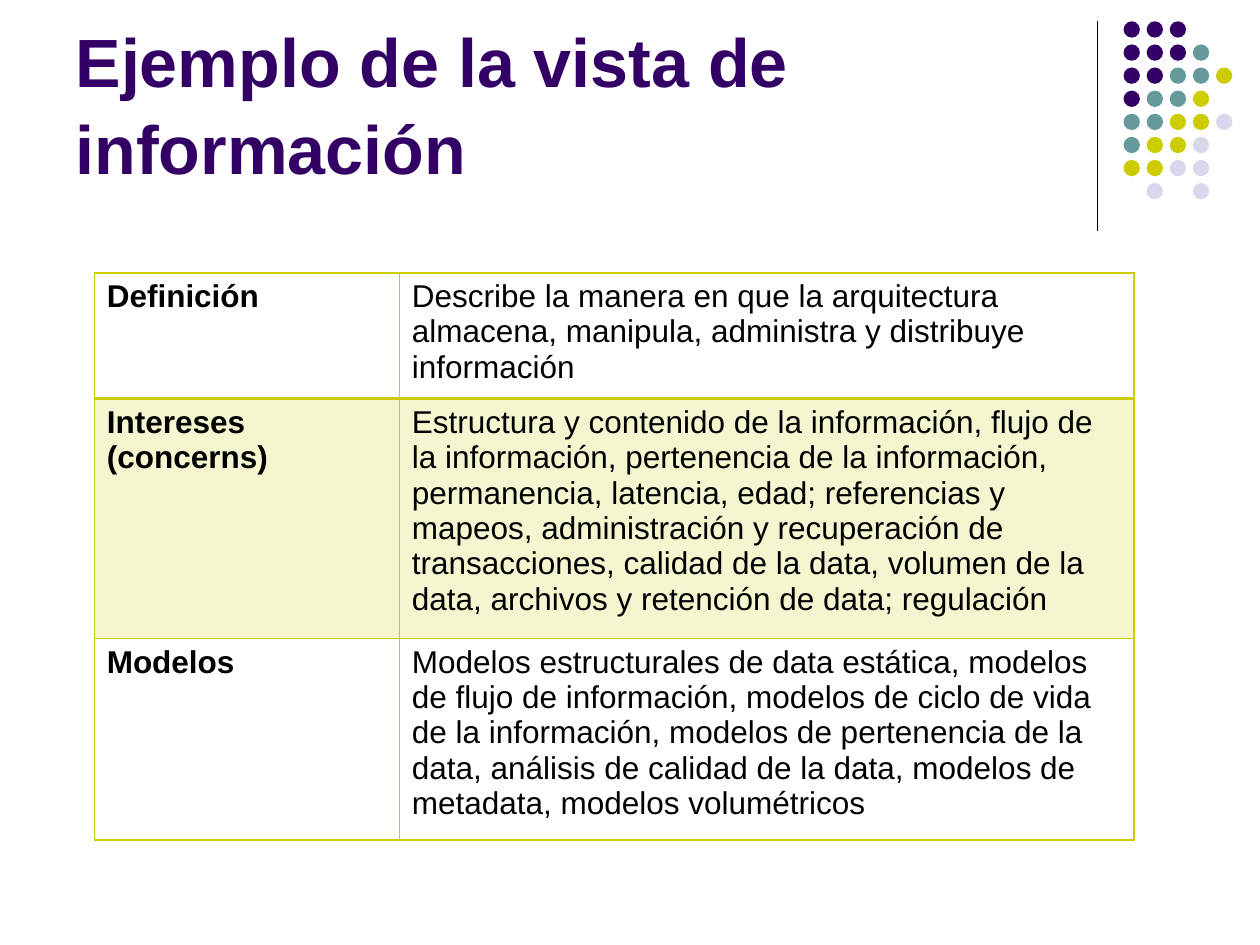
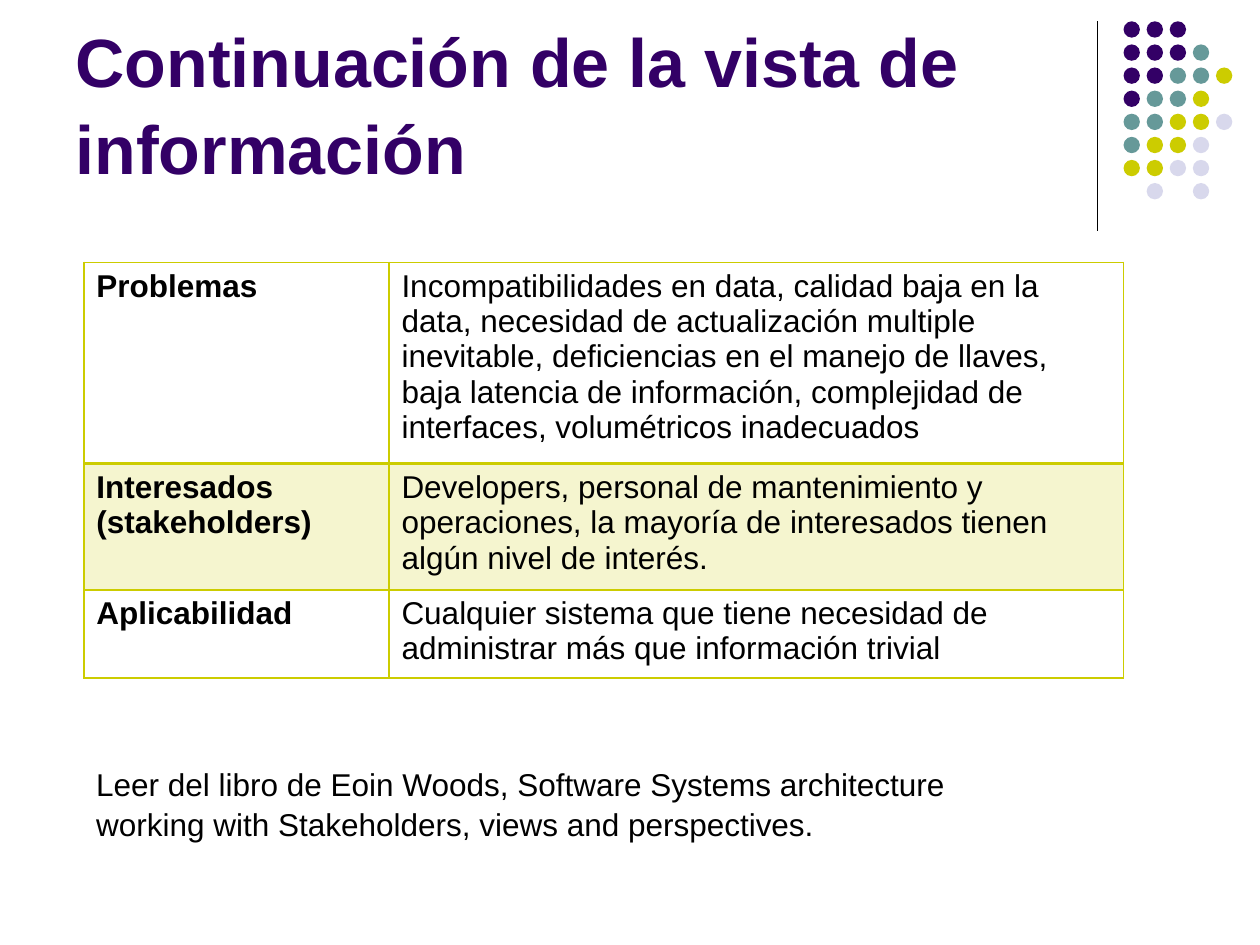
import pptx
import pptx.dml.color
import pptx.enum.shapes
import pptx.enum.text
import pptx.oxml
import pptx.oxml.ns
import pptx.util
from lxml import etree
from pptx.util import Cm

COLOURS = {
    "purple": "330066",
    "teal": "669999",
    "olive": "CCCC00",
    "lilac": "D8D8EC",
    "black": "000000",
}

# Shared formats
FONT = "Arial"
TITLE_FONT = {"name": FONT, "size": pptx.util.Pt(39), "bold": True}
TEXT_FONT = {"name": FONT, "size": pptx.util.Pt(18), "bold": False}
LABEL_FONT = {**TEXT_FONT, "bold": True}
TITLE_PLACE = {"left": Cm(1.27), "top": Cm(0.33), "width": Cm(20.96), "height": Cm(3.6)}
TITLE_FRAME = {
    "word_wrap": True,
    "auto_size": pptx.enum.text.MSO_AUTO_SIZE.NONE,
    "vertical_anchor": pptx.enum.text.MSO_ANCHOR.BOTTOM,
}
NOTE_FRAME = {"word_wrap": True, "auto_size": pptx.enum.text.MSO_AUTO_SIZE.SHAPE_TO_FIT_TEXT}
TEXT_SPACING = 1.07
COLUMN_WIDTHS = (6.15, 14.81)
TINT_PERCENT = 19

# Dot motif: one letter per dot, a point for a gap
DOT_ROWS = ("PPP..", "PPPT.", "PPTTO", "PTTO.", "TTOOL", "TOOL.", "OOLL.", ".L.L.")
DOT_COLOURS = {"P": "purple", "T": "teal", "O": "olive", "L": "lilac"}
DOT_LEFT, DOT_TOP, DOT_SIZE = 22.65, 0.43, 0.33
DOT_PITCH = 3.26 / 7

INFORMATION_VIEW = (
    ("Definición", "Describe la manera en que la arquitectura almacena, manipula, "
     "administra y distribuye información", 2.54),
    ("Intereses (concerns)", "Estructura y contenido de la información, flujo de la "
     "información, pertenencia de la información, permanencia, latencia, edad; "
     "referencias y mapeos, administración y recuperación de transacciones, calidad de "
     "la data, volumen de la data, archivos y retención de data; regulación", 4.83),
    ("Modelos", "Modelos estructurales de data estática, modelos de flujo de información, "
     "modelos de ciclo de vida de la información, modelos de pertenencia de la data, "
     "análisis de calidad de la data, modelos de metadata, modelos volumétricos", 4.06),
)
INFORMATION_VIEW_CONTINUED = (
    ("Problemas", "Incompatibilidades en data, calidad baja en la data, necesidad de "
     "actualización multiple inevitable, deficiencias en el manejo de llaves, baja "
     "latencia de información, complejidad de interfaces, volumétricos inadecuados", 4.06),
    ("Interesados (stakeholders)", "Developers, personal de mantenimiento y operaciones, "
     "la mayoría de interesados tienen algún nivel de interés.", 2.54),
    ("Aplicabilidad", "Cualquier sistema que tiene necesidad de administrar más que "
     "información trivial", 1.78),
)
READING_NOTE = (
    "Leer del libro de Eoin Woods, Software Systems architecture",
    "working with Stakeholders, views and perspectives.",
)


def rgb(name):
    return pptx.dml.color.RGBColor.from_string(COLOURS[name])


def set_values(target, values):
    for name, value in values.items():
        setattr(target, name, value)


def write_paragraph(paragraph, text, font_values, colour="black"):
    run = paragraph.add_run()
    run.text = text
    set_values(run.font, font_values)
    run.font.color.rgb = rgb(colour)


def add_sub_element(parent, tag, **attributes):
    return etree.SubElement(parent, pptx.oxml.ns.qn(tag), attributes)


# Shared decoration
def add_divider(slide):
    divider = slide.shapes.add_connector(
        pptx.enum.shapes.MSO_CONNECTOR.STRAIGHT, Cm(22.12), Cm(0.43), Cm(22.12), Cm(4.65))
    divider.line.color.rgb = rgb("black")
    divider.line.width = pptx.util.Pt(0.75)
    add_sub_element(divider.element.spPr, "a:effectLst")
    return divider


def add_dot(slide, row, column, colour):
    dot = slide.shapes.add_shape(
        pptx.enum.shapes.MSO_SHAPE.OVAL,
        Cm(DOT_LEFT + column * DOT_PITCH), Cm(DOT_TOP + row * DOT_PITCH),
        Cm(DOT_SIZE), Cm(DOT_SIZE))
    dot.shadow.inherit = False
    dot.fill.solid()
    dot.fill.fore_color.rgb = rgb(colour)
    dot.line.fill.background()
    return dot


def decorate_layout(layout, slide):
    """Draw the divider and dots on the slide, then move them to its layout."""
    decorations = [add_divider(slide)]
    for row, letters in enumerate(DOT_ROWS):
        for column, letter in enumerate(letters):
            if letter in DOT_COLOURS:
                decorations.append(add_dot(slide, row, column, DOT_COLOURS[letter]))
    for number, shape in enumerate(decorations, start=100):
        shape.element.xpath(".//p:cNvPr")[0].set("id", str(number))
        layout.shapes.element.append(shape.element)


# Slide content
def set_title(slide, text):
    title = slide.shapes.title
    set_values(title, TITLE_PLACE)
    set_values(title.text_frame, TITLE_FRAME)
    paragraph = title.text_frame.paragraphs[0]
    paragraph.alignment = pptx.enum.text.PP_ALIGN.LEFT
    paragraph.line_spacing = TEXT_SPACING
    write_paragraph(paragraph, text, TITLE_FONT, "purple")


def set_borders(cell, row):
    widths = {"L": 1, "R": 1, "T": 2 if row == 1 else 1, "B": 2 if row == 0 else 1}
    properties = cell._tc.get_or_add_tcPr()
    for side, width in widths.items():
        line = add_sub_element(properties, f"a:ln{side}", w=str(pptx.util.Pt(width)))
        fill = add_sub_element(line, "a:solidFill")
        add_sub_element(fill, "a:srgbClr", val=COLOURS["olive"])


def set_cell_fill(cell, tinted):
    if not tinted:
        cell.fill.background()
        return
    cell.fill.solid()
    cell.fill.fore_color.rgb = rgb("olive")
    colour = cell._tc.tcPr.find("a:solidFill/a:srgbClr", pptx.oxml.ns._nsmap)
    add_sub_element(colour, "a:alpha", val=str(TINT_PERCENT * 1000))


def add_view_table(slide, left, top, entries):
    height = sum(entry[2] for entry in entries)
    table = slide.shapes.add_table(
        len(entries), len(COLUMN_WIDTHS), Cm(left), Cm(top),
        Cm(sum(COLUMN_WIDTHS)), Cm(height)).table
    set_values(table, {"first_row": False, "horz_banding": False})
    for column, width in zip(table.columns, COLUMN_WIDTHS):
        column.width = Cm(width)
    for row, (label, description, row_height) in enumerate(entries):
        table.rows[row].height = Cm(row_height)
        texts = ((label, LABEL_FONT), (description, TEXT_FONT))
        for column, (text, font_values) in enumerate(texts):
            cell = table.cell(row, column)
            write_paragraph(cell.text_frame.paragraphs[0], text, font_values)
            set_borders(cell, row)
            set_cell_fill(cell, tinted=row == 1)


def add_note(slide, left, top, width, height, lines):
    frame = slide.shapes.add_textbox(Cm(left), Cm(top), Cm(width), Cm(height)).text_frame
    set_values(frame, NOTE_FRAME)
    for number, text in enumerate(lines):
        paragraph = frame.add_paragraph() if number else frame.paragraphs[0]
        paragraph.line_spacing = TEXT_SPACING
        write_paragraph(paragraph, text, TEXT_FONT)


def main():
    presentation = pptx.Presentation()
    set_values(presentation, {"slide_width": Cm(25.4), "slide_height": Cm(19.05)})
    layout = presentation.slide_layouts.get_by_name("Title Only")

    # Information view
    slide = presentation.slides.add_slide(layout)
    decorate_layout(layout, slide)
    set_title(slide, "Ejemplo de la vista de información")
    add_view_table(slide, 1.9, 5.5, INFORMATION_VIEW)

    # Information view, continued
    slide = presentation.slides.add_slide(layout)
    set_title(slide, "Continuación de la vista de información")
    add_view_table(slide, 1.69, 5.29, INFORMATION_VIEW_CONTINUED)
    add_note(slide, 1.69, 15.24, 17.96, 1.8, READING_NOTE)

    presentation.save("out.pptx")


if __name__ == "__main__":
    main()
